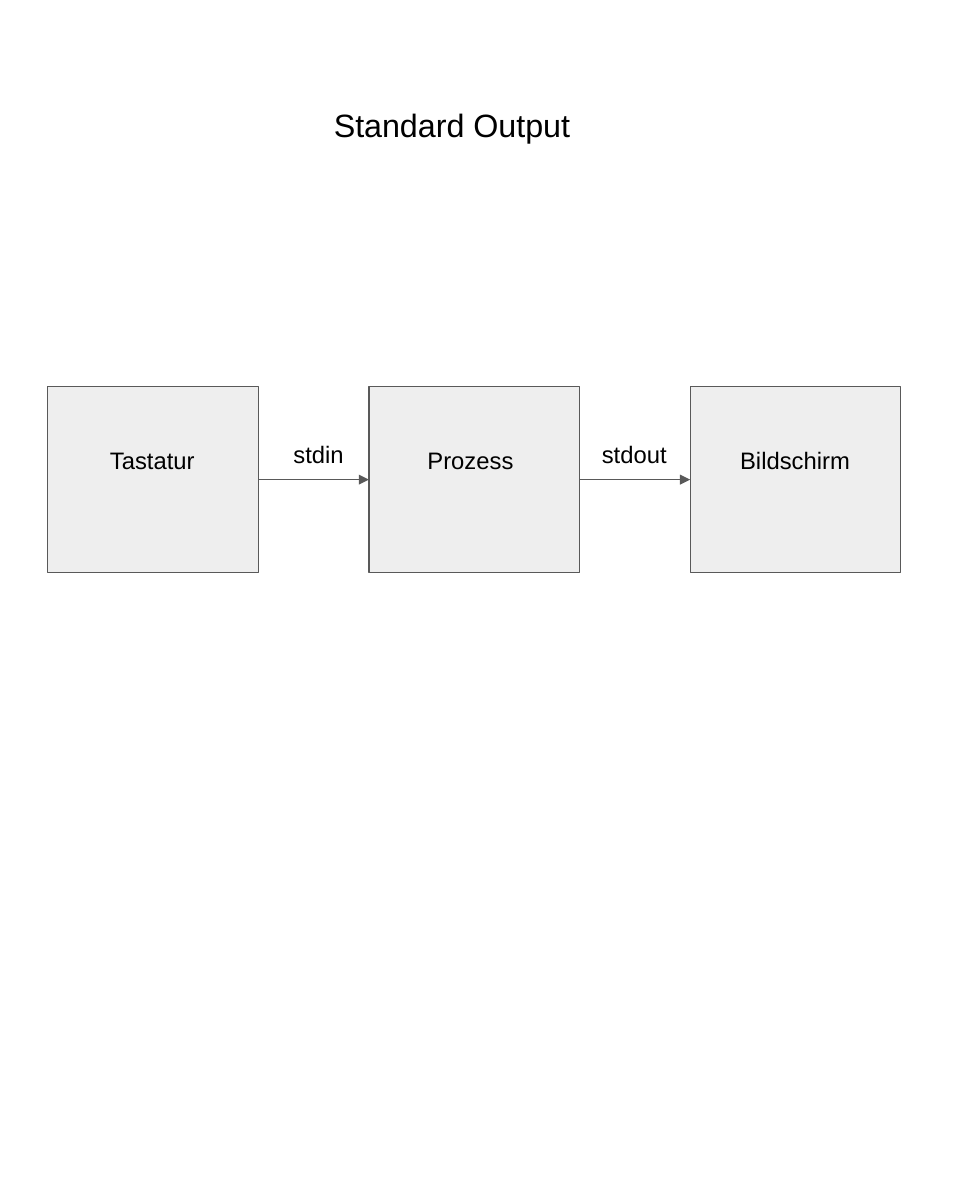
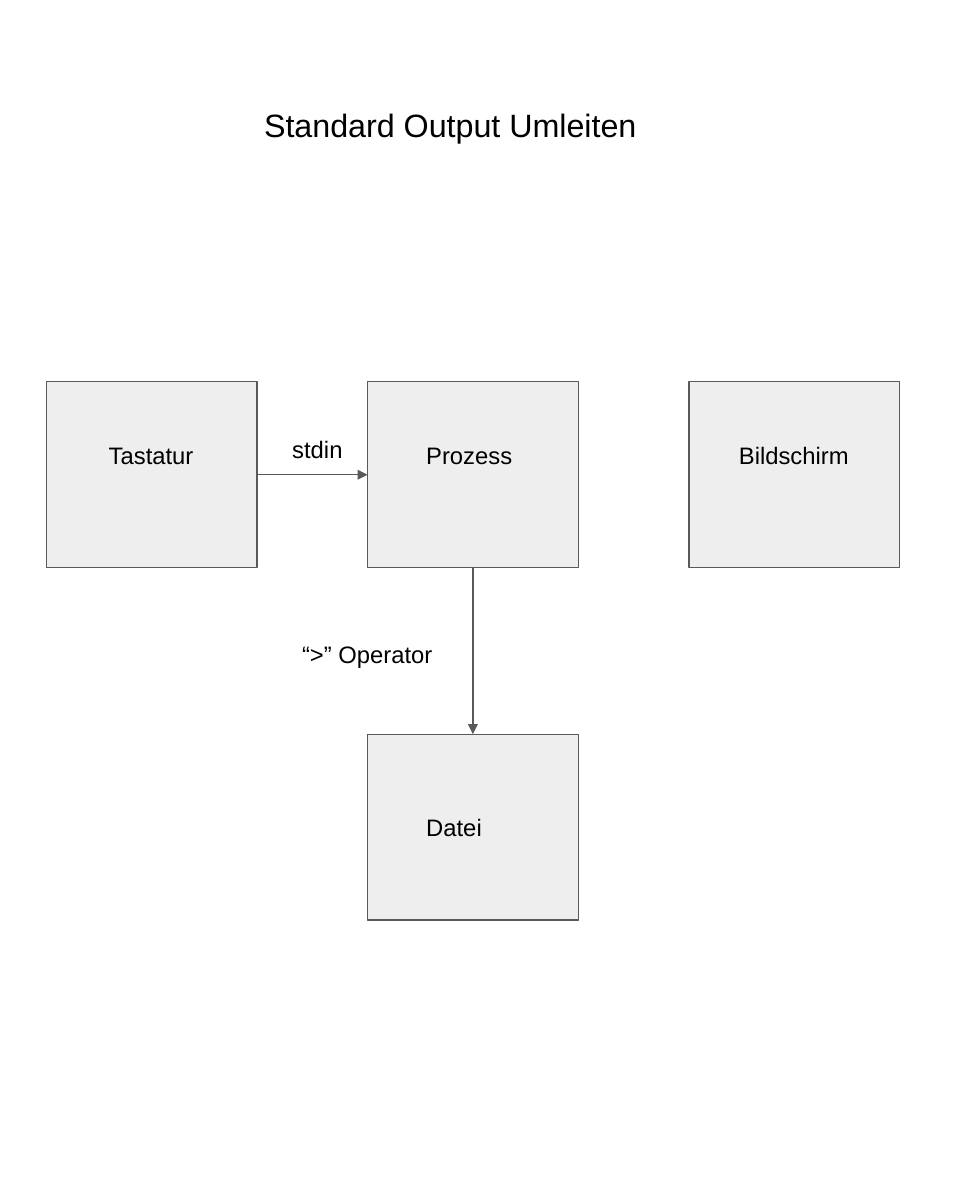
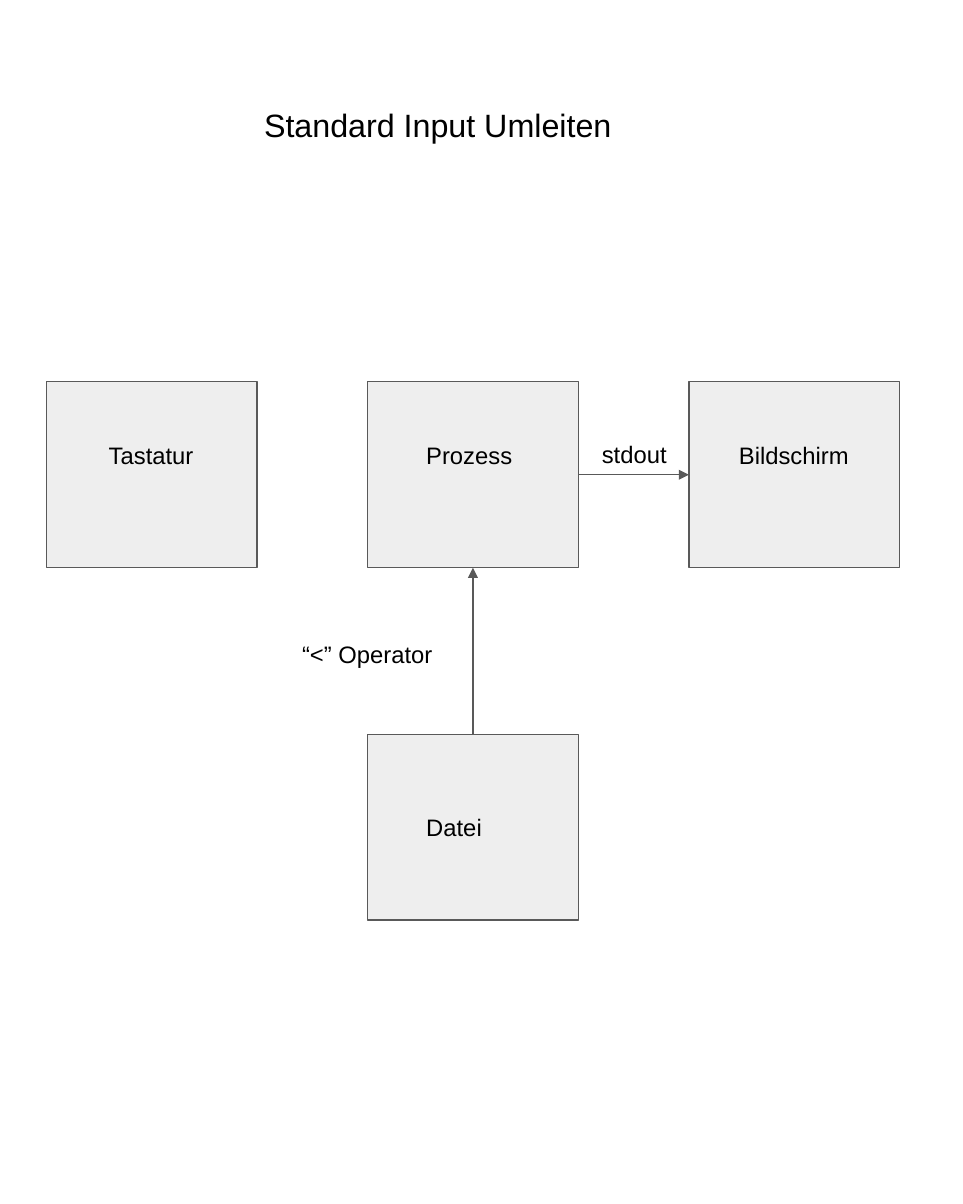
from lxml import etree
from pptx import Presentation
from pptx.dml.color import RGBColor
from pptx.enum import shapes, text
from pptx.oxml import ns
from pptx.util import Inches, Pt

SLIDE_W, SLIDE_H = 7.87, 9.84
FONT, BLACK, GREY, EDGE = "Arial", "000000", "EEEEEE", "595959"
BODY_SIZE, TITLE_SIZE = 14, 19
TITLE_TOP, TITLE_H, LABEL_H = 0.76, 0.52, 0.44
BOX_W, BOX_H = 1.72, 1.52
PITCH_X, PITCH_Y = 5.25 / 2, 2.88
TOP, LEFT, BOTTOM, RIGHT = range(4)  # connection sites

# name: (column, row, label offset x, label offset y, label width)
BOXES = {
    "Tastatur": (0, 0, 0.41, 0.38, 1.5),
    "Prozess": (1, 0, 0.38, 0.38, 1.26),
    "Bildschirm": (2, 0, 0.31, 0.38, 1.18),
    "Datei": (1, 1, 0.38, 0.54, 1.46),
}
DEVICES = ["Tastatur", "Prozess", "Bildschirm"]
STDIN = ("Tastatur", RIGHT, "Prozess", LEFT)
STDOUT = ("Prozess", RIGHT, "Bildschirm", LEFT)
TO_FILE = ("Prozess", BOTTOM, "Datei", TOP)
FROM_FILE = ("Datei", TOP, "Prozess", BOTTOM)

# flows: (arrow, label, label left, label top, label width)
SLIDES = [
    {"title": "Standard Output", "title_left": 2.63, "origin": (0.39, 3.16),
     "boxes": DEVICES,
     "flows": [(STDIN, "stdin", 2.3, 3.49, 0.9),
               (STDOUT, "stdout", 4.82, 3.49, 0.75)]},
    {"title": "Standard Output Umleiten", "title_left": 2.06, "origin": (0.38, 3.12),
     "boxes": DEVICES + ["Datei"],
     "flows": [(STDIN, "stdin", 2.29, 3.45, 0.9),
               (TO_FILE, "“>” Operator", 2.37, 5.13, 1.36)]},
    {"title": "Standard Input Umleiten", "title_left": 2.06, "origin": (0.38, 3.12),
     "boxes": DEVICES + ["Datei"],
     "flows": [(FROM_FILE, "“<” Operator", 2.37, 5.13, 1.36),
               (STDOUT, "stdout", 4.82, 3.49, 0.75)]},
]


def colour(value):
    return RGBColor.from_string(value)


def style_line(line):
    line.color.rgb = colour(EDGE)
    line.width = Pt(0.75)


def add_label(slide, words, left, top, width, height=LABEL_H, size=BODY_SIZE):
    label = slide.shapes.add_textbox(*map(Inches, (left, top, width, height)))
    frame = label.text_frame
    frame.word_wrap = True
    frame.auto_size = text.MSO_AUTO_SIZE.SHAPE_TO_FIT_TEXT
    frame.margin_left = frame.margin_right = Inches(0.1)
    frame.margin_top = frame.margin_bottom = Inches(0.1)
    run = frame.paragraphs[0].add_run()
    run.text = words
    run.font.name, run.font.size = FONT, Pt(size)
    run.font.color.rgb = colour(BLACK)


def add_box(slide, left, top):
    box = slide.shapes.add_shape(shapes.MSO_SHAPE.FLOWCHART_PROCESS,
                                 *map(Inches, (left, top, BOX_W, BOX_H)))
    box.shadow.inherit = False
    box.fill.solid()
    box.fill.fore_color.rgb = colour(GREY)
    style_line(box.line)
    return box


def add_arrow(slide, start, start_side, end, end_side):
    arrow = slide.shapes.add_connector(shapes.MSO_CONNECTOR.STRAIGHT, 0, 0, 0, 0)
    arrow.begin_connect(start, start_side)
    arrow.end_connect(end, end_side)
    style_line(arrow.line)
    properties = arrow.line._get_or_add_ln()
    etree.SubElement(properties, ns.qn("a:tailEnd"), type="triangle")
    etree.SubElement(properties.getparent(), ns.qn("a:effectLst"))


def build_slide(deck, content):
    slide = deck.slides.add_slide(deck.slide_layouts[6])
    origin_x, origin_y = content["origin"]

    # Boxes on the grid
    boxes, labels = {}, []
    for name in content["boxes"]:
        column, row, offset_x, offset_y, width = BOXES[name]
        left, top = origin_x + column * PITCH_X, origin_y + row * PITCH_Y
        boxes[name] = add_box(slide, left, top)
        labels.append((name, left + offset_x, top + offset_y, width))

    # Arrows between boxes
    for (start, start_side, end, end_side), *label in content["flows"]:
        add_arrow(slide, boxes[start], start_side, boxes[end], end_side)
        labels.append(label)

    # Labels and title
    for label in labels:
        add_label(slide, *label)
    title_left = content["title_left"]
    add_label(slide, content["title"], title_left, TITLE_TOP,
              SLIDE_W - title_left, TITLE_H, TITLE_SIZE)


def main():
    deck = Presentation()
    deck.slide_width, deck.slide_height = Inches(SLIDE_W), Inches(SLIDE_H)
    for content in SLIDES:
        build_slide(deck, content)
    deck.save("out.pptx")


if __name__ == "__main__":
    main()
